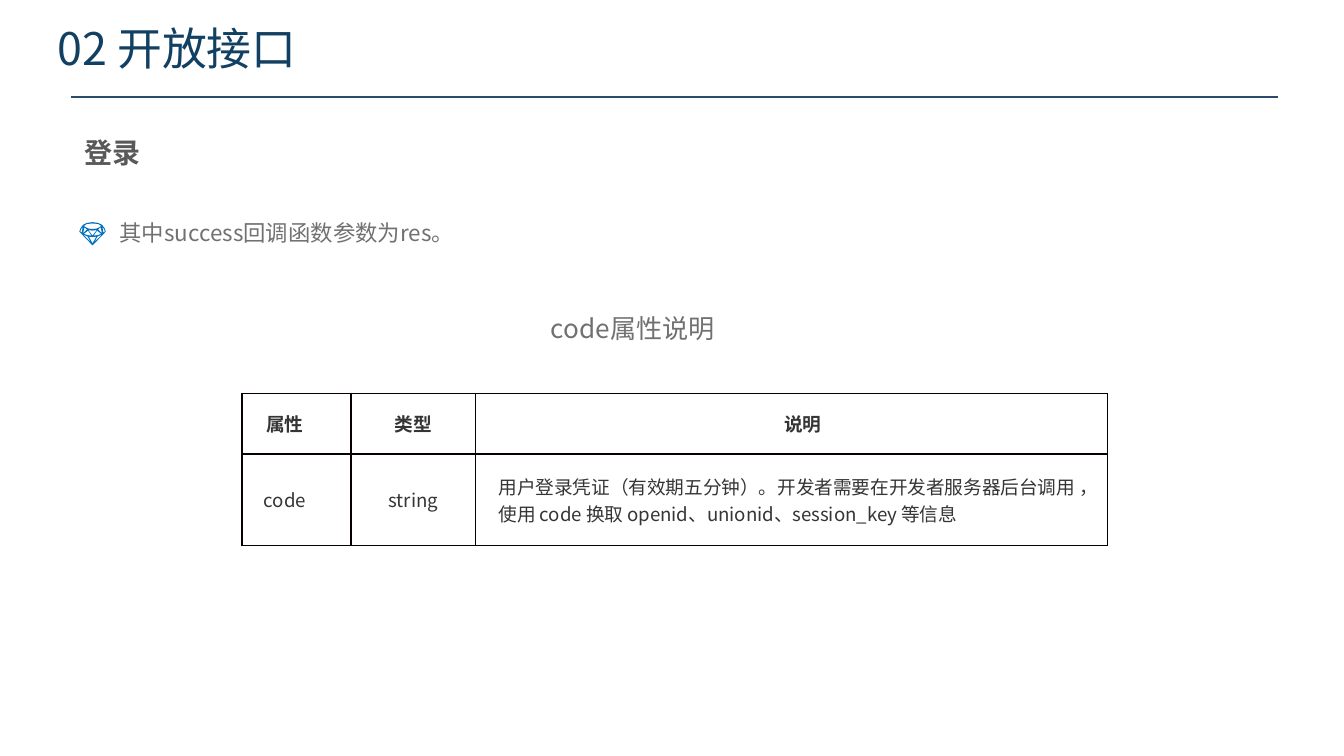
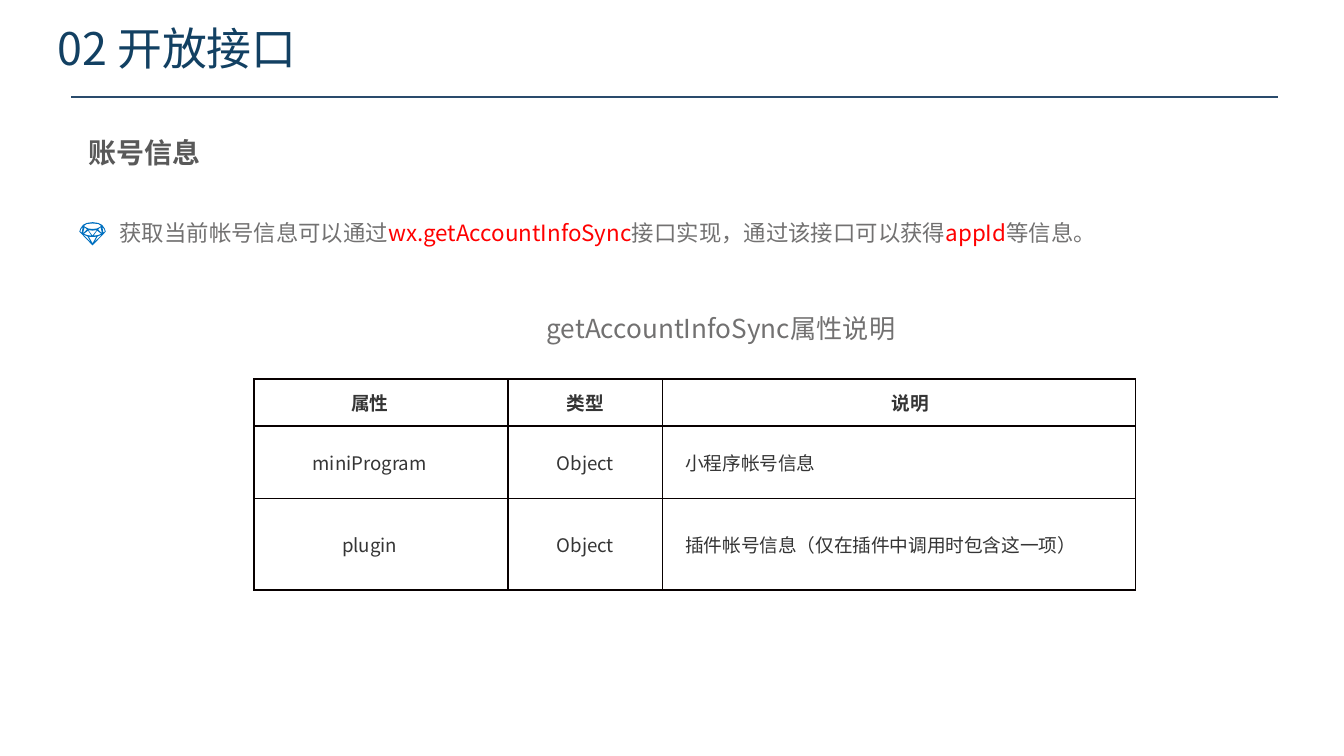
from lxml.etree import SubElement
from pptx import Presentation
from pptx.dml.color import RGBColor
from pptx.enum.shapes import MSO_CONNECTOR
from pptx.enum.text import MSO_ANCHOR, PP_ALIGN
from pptx.oxml.ns import qn
from pptx.util import Cm, Pt

# Shared style
FONT = "Noto Sans CJK SC"
TITLE_BLUE = RGBColor(0x12, 0x40, 0x62)
RULE_BLUE = RGBColor(0x2A, 0x4B, 0x6C)
ICON_BLUE = RGBColor(0x00, 0x70, 0xC0)
HEADING_GREY = RGBColor(0x59, 0x59, 0x59)
BODY_GREY = RGBColor(0x72, 0x71, 0x71)
CELL_GREY = RGBColor(0x35, 0x35, 0x35)
RED = RGBColor(0xFF, 0x00, 0x00)
BORDER = RGBColor(0x08, 0x00, 0x00)

# Diamond icon on a grid 100 wide; side facets are mirrored about x = 50
DIAMOND_CENTRE = [
    [(50, 0), (72, 3), (86, 10), (96, 24), (100, 36), (50, 88),
     (0, 36), (4, 24), (14, 10), (28, 3)],
    [(50, 5), (72, 7), (82, 14), (78, 18), (66, 24), (50, 26),
     (34, 24), (22, 18), (18, 14), (28, 7)],
    [(66, 30), (50, 51), (34, 30), (50, 32)],
    [(50, 56), (64, 55), (50, 80), (36, 55)],
]
DIAMOND_LEFT = [
    [(20, 19), (29, 28), (14, 42)],
    [(33, 32), (46, 51), (30, 49), (17, 44)],
    [(13, 18), (9, 40), (4, 36), (6, 27)],
    [(14, 47), (31, 54), (44, 76)],
]


def write_text(frame, text, size, color, bold=False, align=PP_ALIGN.LEFT, spacing=None):
    """Fill a text frame; text is a string or a list of (string, colour) pairs."""
    paragraph = frame.paragraphs[0]
    paragraph.alignment = align
    if spacing:
        paragraph.line_spacing = spacing
    pieces = [(text, color)] if isinstance(text, str) else text
    for content, piece_color in pieces:
        run = paragraph.add_run()
        run.text = content
        run.font.name = FONT
        run.font.size = Pt(size)
        run.font.bold = bold
        run.font.color.rgb = piece_color
        SubElement(run.font._element, qn("a:ea"), typeface=FONT)


def add_text(slide, text, left, top, width, height, anchor=MSO_ANCHOR.TOP,
             inset=(0.25, 0.13), **text_format):
    frame = slide.shapes.add_textbox(Cm(left), Cm(top), Cm(width), Cm(height)).text_frame
    frame.word_wrap = True
    frame.vertical_anchor = anchor
    frame.margin_left = frame.margin_right = Cm(inset[0])
    frame.margin_top = frame.margin_bottom = Cm(inset[1])
    write_text(frame, text, **text_format)


def add_rule(slide):
    line = slide.shapes.add_connector(
        MSO_CONNECTOR.STRAIGHT, Cm(1.35), Cm(1.83), Cm(24.16), Cm(1.83))
    line.line.color.rgb = RULE_BLUE
    line.line.width = Pt(1.25)
    SubElement(line._element.spPr, qn("a:effectLst"))


def add_diamond(slide, left, top):
    mirrored = [[(100 - x, y) for x, y in facet] for facet in DIAMOND_LEFT]
    outline, *facets = DIAMOND_CENTRE + DIAMOND_LEFT + mirrored
    builder = slide.shapes.build_freeform(*outline[0], scale=Cm(0.005))
    builder.add_line_segments(outline[1:], close=True)
    for facet in facets:
        builder.move_to(*facet[0])
        builder.add_line_segments(facet[1:], close=True)
    shape = builder.convert_to_shape(Cm(left), Cm(top))
    shape.fill.solid()
    shape.fill.fore_color.rgb = ICON_BLUE
    shape.line.fill.background()
    shape.shadow.inherit = False


def style_cell(cell):
    properties = cell._tc.get_or_add_tcPr()
    for side in ("lnL", "lnR", "lnT", "lnB"):
        border = SubElement(properties, qn(f"a:{side}"), w=str(Pt(1)))
        fill = SubElement(border, qn("a:solidFill"))
        SubElement(fill, qn("a:srgbClr"), val=str(BORDER))
    cell.fill.background()
    cell.vertical_anchor = MSO_ANCHOR.MIDDLE


def add_property_table(slide, rows, left, top, widths, heights):
    table = slide.shapes.add_table(
        len(rows), len(widths), Cm(left), Cm(top),
        Cm(sum(widths)), Cm(sum(heights))).table
    for column, width in zip(table.columns, widths):
        column.width = Cm(width)
    last = len(widths) - 1
    for row_index, (row, height) in enumerate(zip(rows, heights)):
        table.rows[row_index].height = Cm(height)
        header = row_index == 0
        for column_index, text in enumerate(row):
            cell = table.cell(row_index, column_index)
            style_cell(cell)
            cell.margin_left = Cm(0 if column_index == 0 else 0.43)
            cell.margin_right = Cm(0 if column_index == last else 0.43)
            cell.margin_top = cell.margin_bottom = Cm(0.2 if header else 0)
            centred = header or column_index < last
            write_text(cell.text_frame, text, size=10, color=CELL_GREY, bold=header,
                       align=PP_ALIGN.CENTER if centred else PP_ALIGN.LEFT)


def add_content_slide(presentation, heading, heading_left, body,
                      caption, caption_left, caption_width):
    """Title, rule, heading, diamond bullet and table caption."""
    slide = presentation.slides.add_slide(presentation.slide_layouts[6])
    add_text(slide, "02 开放接口", 0.84, 0.38, 21.9, 1.17, anchor=MSO_ANCHOR.MIDDLE,
             size=24, color=TITLE_BLUE, spacing=0.9)
    add_rule(slide)
    add_text(slide, heading, heading_left, 2.46, 6.68, 0.84, inset=(0.18, 0.1),
             size=15, color=HEADING_GREY, bold=True)
    add_diamond(slide, 1.5, 4.2)
    add_text(slide, body, 2.01, 3.91, 22.25, 0.86, size=12, color=BODY_GREY, spacing=1.2)
    add_text(slide, caption, caption_left, 5.77, caption_width, 0.86,
             size=14, color=BODY_GREY)
    return slide


def main():
    presentation = Presentation()
    presentation.slide_width = Cm(25.4)
    presentation.slide_height = Cm(14.29)
    header = ("属性", "类型", "说明")

    # Login
    slide = add_content_slide(presentation, "登录", 1.42, "其中success回调函数参数为res。",
                              "code属性说明", 10.16, 5.44)
    add_property_table(slide, [
        header,
        ("code", "string", "用户登录凭证（有效期五分钟）。开发者需要在开发者服务器后台调用 ，"
                           "使用 code 换取 openid、unionid、session_key 等信息"),
    ], 4.57, 7.44, widths=(2.06, 2.36, 11.94), heights=(1.14, 1.73))

    # Account information
    body = [("获取当前帐号信息可以通过", BODY_GREY), ("wx.getAccountInfoSync", RED),
            ("接口实现，通过该接口可以获得", BODY_GREY), ("appId", RED),
            ("等信息。", BODY_GREY)]
    slide = add_content_slide(presentation, "账号信息", 1.5, body,
                              "getAccountInfoSync属性说明", 10.08, 7.32)
    add_property_table(slide, [
        header,
        ("miniProgram", "Object", "小程序帐号信息"),
        ("plugin", "Object", "插件帐号信息（仅在插件中调用时包含这一项）"),
    ], 4.8, 7.16, widths=(4.8, 2.92, 8.94), heights=(0.89, 1.37, 1.73))

    presentation.save("out.pptx")


if __name__ == "__main__":
    main()
